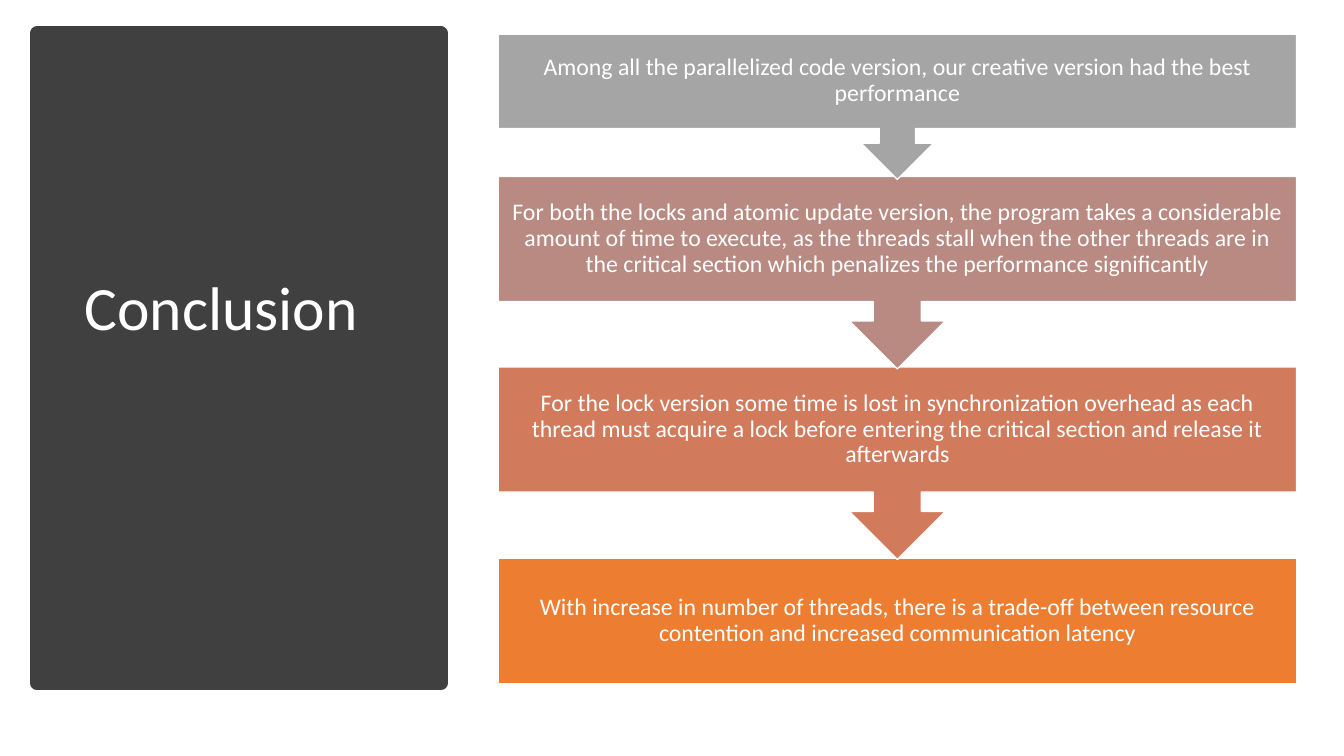
from dataclasses import dataclass

from pptx import Presentation
from pptx.dml.color import RGBColor
from pptx.enum.shapes import MSO_SHAPE
from pptx.enum.text import MSO_ANCHOR, PP_ALIGN
from pptx.shapes.autoshape import Shape
from pptx.slide import Slide
from pptx.util import Inches, Pt

WHITE = RGBColor(0xFF, 0xFF, 0xFF)
CHARCOAL = RGBColor(0x40, 0x40, 0x40)
GREY = RGBColor(0xA5, 0xA5, 0xA5)
ROSE = RGBColor(0xB9, 0x8A, 0x82)
TERRACOTTA = RGBColor(0xD1, 0x7B, 0x5C)
ORANGE = RGBColor(0xED, 0x7D, 0x31)

FONT = "Calibri"
STEP_LEFT, STEP_WIDTH = 4.94, 7.92
STEP_INSET = 0.13


@dataclass(frozen=True)
class Step:
    """One finding: its body height, and its full height with any arrow."""
    text: str
    fill: RGBColor
    top: float
    body_height: float
    full_height: float

    @property
    def has_arrow(self) -> bool:
        return self.full_height > self.body_height


STEPS = [
    Step("Among all the parallelized code version, our creative version had "
         "the best performance", GREY, 0.34, 0.93, 1.44),
    Step("For both the locks and atomic update version, the program takes a "
         "considerable amount of time to execute, as the threads stall when "
         "the other threads are in the critical section which penalizes the "
         "performance significantly", ROSE, 1.75, 1.24, 1.91),
    Step("For the lock version some time is lost in synchronization overhead "
         "as each thread must acquire a lock before entering the critical "
         "section and release it afterwards", TERRACOTTA, 3.64, 1.24, 1.91),
    Step("With increase in number of threads, there is a trade-off between "
         "resource contention and increased communication latency",
         ORANGE, 5.54, 1.24, 1.24),
]


def add_block(page: Slide, preset: MSO_SHAPE, left: float, top: float,
              width: float, height: float, *, fill: RGBColor, line: RGBColor,
              line_width: float) -> Shape:
    block = page.shapes.add_shape(preset, Inches(left), Inches(top),
                                  Inches(width), Inches(height))
    block.shadow.inherit = False
    block.fill.solid()
    block.fill.fore_color.rgb = fill
    block.line.color.rgb = line
    block.line.width = Pt(line_width)
    return block


def add_text(page: Slide, text: str, left: float, top: float, width: float,
             height: float, *, size: float, align: PP_ALIGN,
             inset_x: float, inset_y: float) -> None:
    box = page.shapes.add_textbox(Inches(left), Inches(top),
                                  Inches(width), Inches(height))
    frame = box.text_frame
    frame.word_wrap = True
    frame.vertical_anchor = MSO_ANCHOR.MIDDLE
    frame.margin_left = frame.margin_right = Inches(inset_x)
    frame.margin_top = frame.margin_bottom = Inches(inset_y)
    para = frame.paragraphs[0]
    para.alignment = align
    para.line_spacing = 0.9
    span = para.add_run()
    span.text = text
    span.font.name = FONT
    span.font.size = Pt(size)
    span.font.color.rgb = WHITE


def add_step(page: Slide, step: Step) -> None:
    preset = (MSO_SHAPE.UP_ARROW_CALLOUT if step.has_arrow
              else MSO_SHAPE.RECTANGLE)
    block = add_block(page, preset, STEP_LEFT, step.top, STEP_WIDTH,
                      step.full_height, fill=step.fill, line=WHITE,
                      line_width=1)
    if step.has_arrow:
        block.rotation = 180
    add_text(page, step.text, STEP_LEFT, step.top, STEP_WIDTH,
             step.body_height, size=17, align=PP_ALIGN.CENTER,
             inset_x=STEP_INSET, inset_y=STEP_INSET)


def main() -> None:
    deck = Presentation()
    deck.slide_width, deck.slide_height = Inches(13.33), Inches(7.5)
    page = deck.slides.add_slide(deck.slide_layouts[6])
    add_block(page, MSO_SHAPE.RECTANGLE, 0.37, 0.33, 4, 6.45,
              fill=CHARCOAL, line=CHARCOAL, line_width=10)
    add_text(page, "Conclusion", 0.74, 2.7, 3.52, 0.77, size=44,
             align=PP_ALIGN.LEFT, inset_x=0.1, inset_y=0.05)
    # Lower steps go behind, so each arrow tip overlaps the step it points to.
    for step in reversed(STEPS):
        add_step(page, step)
    deck.save("out.pptx")


if __name__ == "__main__":
    main()
